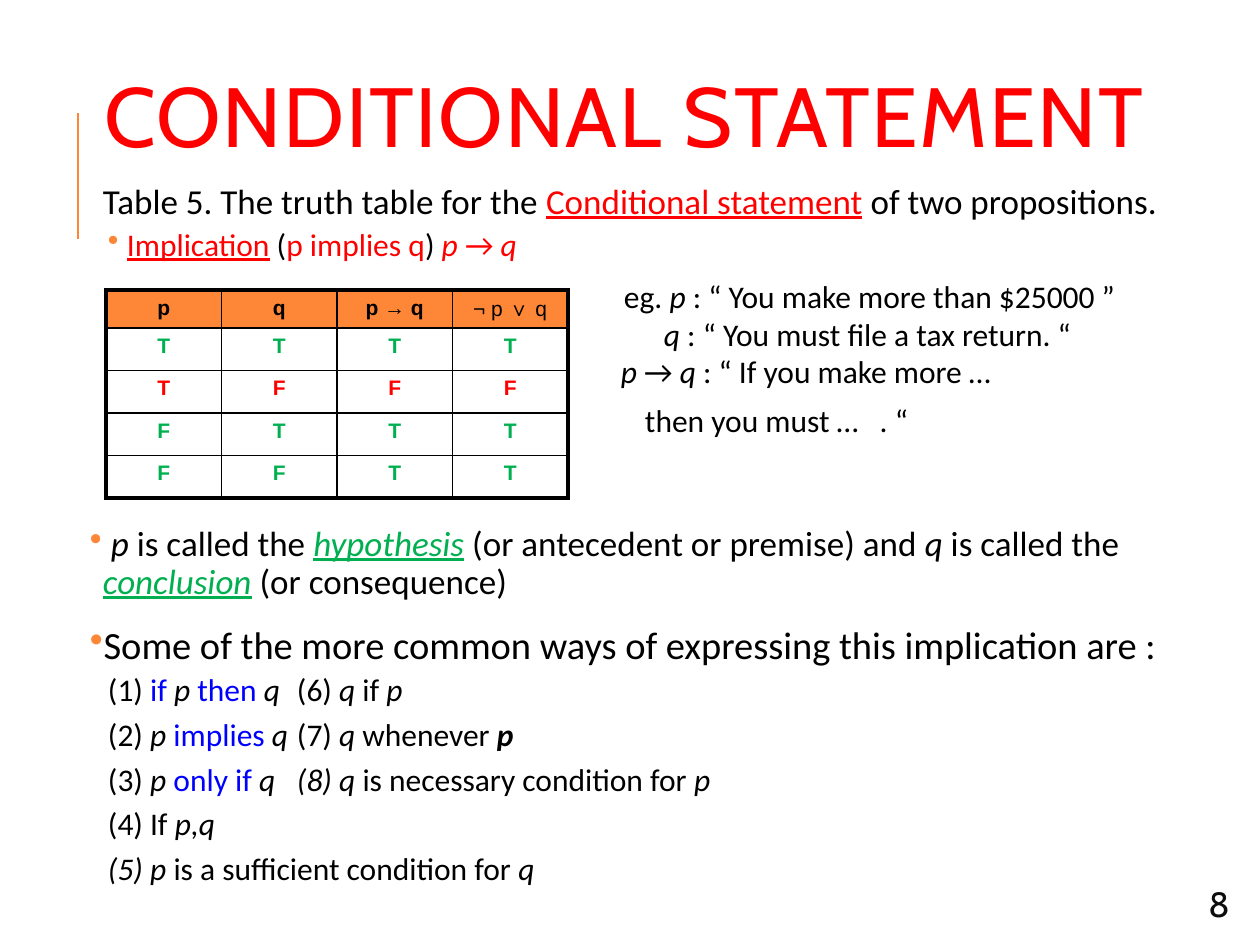
"""Build the slide on conditional statements and their truth table."""
from lxml import etree
from pptx import Presentation
from pptx.dml.color import RGBColor
from pptx.enum.shapes import MSO_CONNECTOR
from pptx.enum.text import MSO_ANCHOR, MSO_AUTO_SIZE, PP_ALIGN
from pptx.oxml.ns import qn
from pptx.util import Pt

STRAIGHT = MSO_CONNECTOR.STRAIGHT
TOP, MIDDLE = MSO_ANCHOR.TOP, MSO_ANCHOR.MIDDLE
LEFT, CENTER, RIGHT = PP_ALIGN.LEFT, PP_ALIGN.CENTER, PP_ALIGN.RIGHT
NO_AUTOFIT = MSO_AUTO_SIZE.NONE
LAYOUT_TITLE_ONLY = 5

ORANGE, RED, GREEN, BLUE = "FE8637", "FF0000", "00B050", "0000FF"
BLACK, CHARCOAL = "000000", "0D0D0D"

ITALIC = {"italic": True}
RED_TEXT = {"color": RED}
RED_ITALIC = {"color": RED, "italic": True}
RED_TERM = {"color": RED, "underline": True}
GREEN_TERM = {"color": GREEN, "italic": True, "underline": True}
BLUE_TEXT = {"color": BLUE}
BOLD_ITALIC = {"bold": True, "italic": True}
P, Q = ("p", ITALIC), ("q", ITALIC)

POINT = {"line_spacing": 0.9, "space_before": Pt(12), "space_after": Pt(2)}
DETAIL = {"line_spacing": 0.9, "space_before": Pt(2), "space_after": Pt(4)}
WAY = {"size": 18, "margin": 18, "tab": 523, "spacing": DETAIL}

BODY = [
    ({"size": 20, "margin": 13, "spacing": {"line_spacing": 0.9, "space_after": Pt(2)}},
     ["Table 5. The truth table for the ", ("Conditional statement", RED_TERM),
      " of two propositions."]),
    ({"size": 18, "margin": 37, "hang": 19, "bullet": True, "spacing": DETAIL},
     [("Implication", RED_TERM), " (", ("p implies q", RED_TEXT), ")",
      (" p ", RED_ITALIC), ("→ ", RED_TEXT), ("q", RED_ITALIC)]),
    ({"size": 18, "margin": 534, "spacing": {"space_before": Pt(4)}},
     ["eg. ", P, " : “ You make more than $25000 ”"]),
    ({"size": 18, "margin": 574}, [Q, " : “ You must file a tax return. “"]),
    ({"size": 18, "margin": 531}, [P, " → ", Q, " : “ If you make more …"]),
    ({"size": 18, "margin": 555, "spacing": {"space_before": Pt(6)}},
     ["then you must …   . “"]),
    ({"size": 20, "margin": 13, "hang": 13, "bullet": True,
      "spacing": {**POINT, "space_before": Pt(50)}},
     [" ", P, " is called the ", ("hypothesis", GREEN_TERM),
      " (or antecedent or premise) and ", Q, " is called the ",
      ("conclusion", GREEN_TERM), " (or consequence)"]),
    ({"size": 22, "margin": 13, "hang": 13, "bullet": True, "spacing": POINT},
     ["Some of the more common ways of expressing this implication are :"]),
    (WAY, ["(1) ", ("if ", BLUE_TEXT), ("p ", ITALIC), ("then ", BLUE_TEXT), Q,
           "\t(6) ", Q, " if ", P]),
    (WAY, ["(2) ", ("p ", ITALIC), ("implies ", BLUE_TEXT), Q,
           "\t(7) ", Q, " whenever ", ("p", BOLD_ITALIC)]),
    (WAY, ["(3) ", ("p ", ITALIC), ("only if ", BLUE_TEXT), ("q\t(8) q ", ITALIC),
           "is necessary condition for ", P]),
    (WAY, ["(4) If ", ("p,q", ITALIC)]),
    (WAY, [("(5) p ", ITALIC), "is a sufficient condition for ", Q]),
]

HEADER = ["p", "q", "p → q", "¬ p ∨ q"]
TRUTH_ROWS = [("TTTT", GREEN), ("TFFF", RED), ("FTTT", GREEN), ("FFTT", GREEN)]


def px(value):
    """Turn px into EMU."""
    return round(value * 914400 / 126)


def rgb(value):
    """Turn a hex string into a colour."""
    return RGBColor.from_string(value)


def apply(target, values):
    """Set each format value on the target."""
    for name, value in values.items():
        setattr(target, name, value)


class SlideBuilder:
    """Hold the style and the slide being built."""

    def __init__(self, slide, font="Calibri", accent=ORANGE):
        """Keep the slide, its text font and its accent colour."""
        self.slide, self.font, self.accent = slide, font, accent

    def run(self, paragraph, text, size, font=None, color=BLACK, **values):
        """Add one formatted run."""
        run = paragraph.add_run()
        run.text = text
        apply(run.font, {"name": font or self.font, "size": Pt(size), **values})
        run.font.color.rgb = rgb(color)
        return run

    def title(self, text, box):
        """Move and format the title placeholder."""
        shape = self.slide.shapes.title
        apply(shape, dict(zip(("left", "top", "width", "height"), map(px, box))))
        apply(shape.text_frame, {"vertical_anchor": MIDDLE, "word_wrap": True,
                                 "auto_size": NO_AUTOFIT})
        paragraph = shape.text_frame.paragraphs[0]
        apply(paragraph, {"alignment": LEFT, "line_spacing": 0.8})
        run = self.run(paragraph, text, 48, "Cabin", RED)
        run.font._element.set("spc", "100")

    def text_frame(self, box, anchor=TOP):
        """Add a wrapping text box and return its frame."""
        frame = self.slide.shapes.add_textbox(*map(px, box)).text_frame
        apply(frame, {"word_wrap": True, "vertical_anchor": anchor})
        return frame

    def indent(self, paragraph, margin, hang=0, bullet=False, tab=None):
        """Set the indent, bullet and tab stop of a paragraph."""
        properties = paragraph._p.get_or_add_pPr()
        properties.set("marL", str(px(margin)))
        properties.set("indent", str(-px(hang)))
        if bullet:
            color = etree.SubElement(properties, qn("a:buClr"))
            etree.SubElement(color, qn("a:srgbClr"), val=self.accent)
            etree.SubElement(properties, qn("a:buChar"), char="•")
        if tab:
            stops = etree.SubElement(properties, qn("a:tabLst"))
            etree.SubElement(stops, qn("a:tab"), pos=str(px(tab)), algn="l")

    def body(self, paragraphs, box):
        """Add the body text, one paragraph per entry."""
        frame = self.text_frame(box)
        sides = ("left", "top", "right", "bottom")
        apply(frame, {f"margin_{side}": px(6) for side in sides})
        for index, (layout, runs) in enumerate(paragraphs):
            paragraph = frame.add_paragraph() if index else frame.paragraphs[0]
            layout = dict(layout)
            size = layout.pop("size")
            apply(paragraph, layout.pop("spacing", {}))
            self.indent(paragraph, **layout)
            for item in runs:
                text, values = (item, {}) if isinstance(item, str) else item
                self.run(paragraph, text, size, **values)

    def page_number(self, text, box):
        """Add the page number."""
        paragraph = self.text_frame(box, MIDDLE).paragraphs[0]
        paragraph.alignment = RIGHT
        self.run(paragraph, text, 20, "Cabin", CHARCOAL)

    def rule(self, x, top, bottom):
        """Add a vertical accent line."""
        line = self.slide.shapes.add_connector(STRAIGHT, px(x), px(bottom), px(x), px(top))
        line.line.color.rgb = rgb(self.accent)
        line.line.width = Pt(1.5)
        etree.SubElement(line._element.spPr, qn("a:effectLst"))

    def borders(self, cell, outer):
        """Draw the cell borders, thick on the outer sides."""
        properties = cell._tc.get_or_add_tcPr()
        for index, side in enumerate("LRTB"):
            width = Pt(2.25 if side in outer else 1)
            line = etree.Element(qn(f"a:ln{side}"), w=str(width))
            fill = etree.SubElement(line, qn("a:solidFill"))
            etree.SubElement(fill, qn("a:srgbClr"), val=BLACK)
            properties.insert(index, line)

    def truth_table(self, header, rows, box, header_height):
        """Add the truth table."""
        lines = [(header, BLACK), *rows]
        last_row, last_column = len(rows), len(header) - 1
        table = self.slide.shapes.add_table(len(lines), len(header), *map(px, box)).table
        apply(table, {"first_row": False, "horz_banding": False})
        for row_index, (values, color) in enumerate(lines):
            row_height = (box[3] - header_height) / len(rows) if row_index else header_height
            table.rows[row_index].height = px(row_height)
            for column, value in enumerate(values):
                cell = table.cell(row_index, column)
                formula = row_index == 0 and column == last_column
                cell.vertical_anchor = MIDDLE if formula else TOP
                if row_index:
                    cell.fill.background()
                else:
                    cell.fill.solid()
                    cell.fill.fore_color.rgb = rgb(self.accent)
                paragraph = cell.text_frame.paragraphs[0]
                paragraph.alignment = CENTER
                self.run(paragraph, value, 12, "Arial", color, bold=not formula)
                edges = {"L": column == 0, "R": column == last_column,
                         "T": row_index == 0, "B": row_index == last_row}
                self.borders(cell, [side for side, outer in edges.items() if outer])


def main():
    """Build and save the presentation."""
    presentation = Presentation()
    apply(presentation, {"slide_width": px(1260), "slide_height": px(945)})
    layout = presentation.slide_layouts[LAYOUT_TITLE_ONLY]
    builder = SlideBuilder(presentation.slides.add_slide(layout))
    builder.rule(78, 113, 239)
    builder.body(BODY, (84, 178, 1152, 745))
    builder.truth_table(HEADER, TRUTH_ROWS, (106, 290, 462, 208), 38)
    builder.title("CONDITIONAL STATEMENT", (92, 29, 1105, 189))
    builder.page_number("8", (1019, 885, 223, 38))
    presentation.save("out.pptx")


if __name__ == "__main__":
    main()
